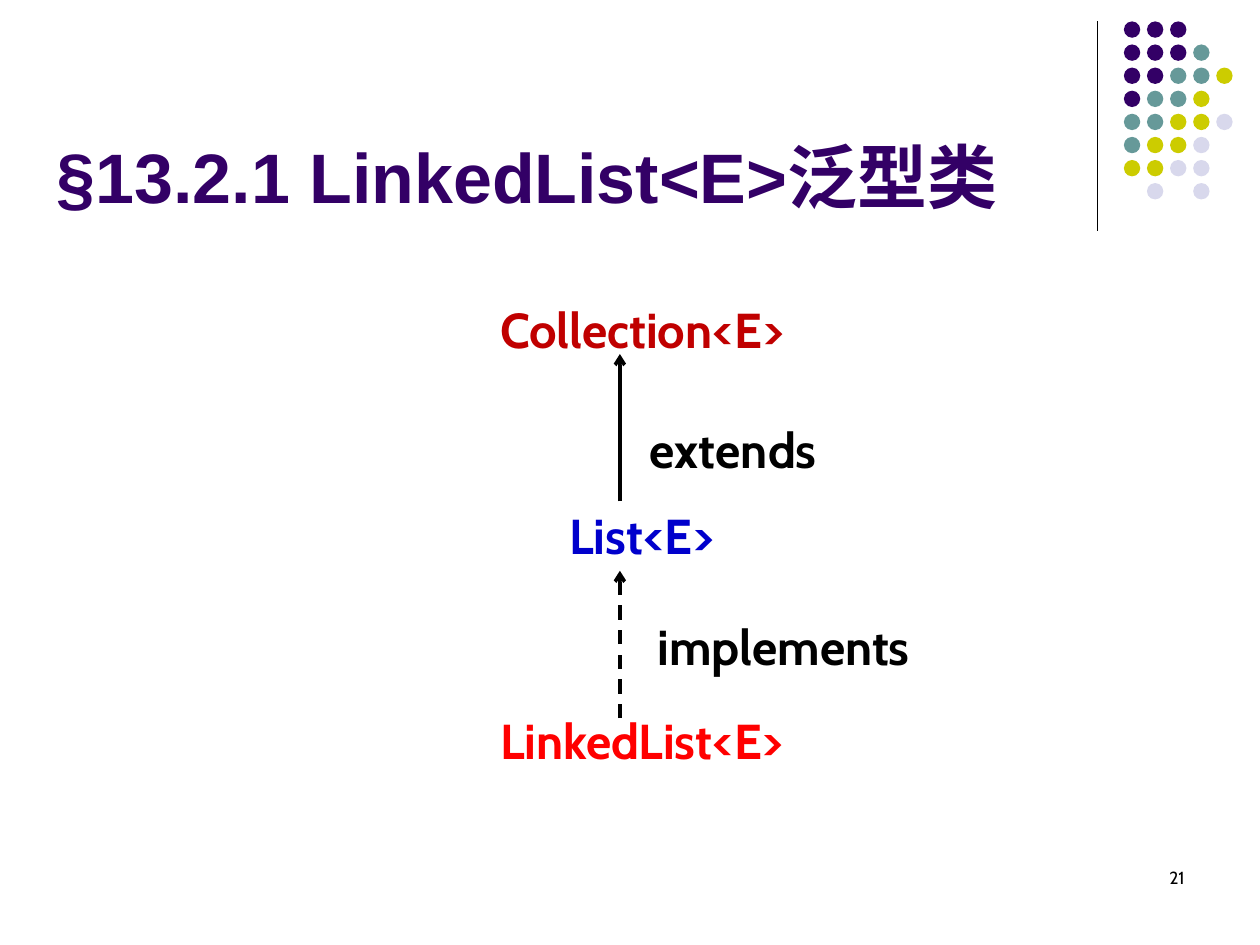
from dataclasses import dataclass
from typing import Optional

import pptx
import pptx.dml.color
import pptx.enum.dml
import pptx.enum.shapes
import pptx.enum.text
import pptx.oxml
import pptx.oxml.ns
import pptx.util

Inches = pptx.util.Inches
Pt = pptx.util.Pt
Align = pptx.enum.text.PP_ALIGN
Anchor = pptx.enum.text.MSO_ANCHOR

COLORS = {
    "purple": "330066", "teal": "669999", "yellow": "CCCC00", "pale": "D8D8EC",
    "black": "000000", "maroon": "C00000", "blue": "0000CC", "red": "FF0000",
}
DOTS = ["PPP", "PPPT", "PPTTY", "PTTY", "TTYYL", "TYYL", "YYLL", " L L"]
DOT_FILLS = {"P": "purple", "T": "teal", "Y": "yellow", "L": "pale"}
DOT_SIZE = 0.13
DOT_STEP = 0.55 / 3


@dataclass
class Line:
    x: float
    start: float
    end: float
    width: float
    dash: bool = False
    arrow: bool = False


@dataclass
class Label:
    text: str
    left: float
    top: float
    width: float
    height: float
    size: float = 28
    bold: bool = True
    align: Align = Align.CENTER


def rgb(name: str) -> pptx.dml.color.RGBColor:
    return pptx.dml.color.RGBColor.from_string(COLORS[name])


def place(shape, left: float, top: float, width: float, height: float) -> None:
    shape.left, shape.top = Inches(left), Inches(top)
    shape.width, shape.height = Inches(width), Inches(height)


def style(para, size: float, color: str, bold: bool, align: Align,
          font: str = "Cabin") -> None:
    para.alignment = align
    for run in para.runs:
        run.font.name = font
        run.font.size = Pt(size)
        run.font.bold = bold
        run.font.color.rgb = rgb(color)


def add_line(slide, item: Line) -> None:
    line = slide.shapes.add_connector(
        pptx.enum.shapes.MSO_CONNECTOR.STRAIGHT,
        Inches(item.x), Inches(item.start), Inches(item.x), Inches(item.end))
    line.line.color.rgb = rgb("black")
    line.line.width = Pt(item.width)
    if item.dash:
        line.line.dash_style = pptx.enum.dml.MSO_LINE.DASH
    if item.arrow:
        tail = pptx.oxml.parse_xml(
            f'<a:tailEnd {pptx.oxml.ns.nsdecls("a")} type="arrow"/>')
        line.line._get_or_add_ln().append(tail)
    props = line._element.spPr
    props.append(pptx.oxml.parse_xml(
        f'<a:effectLst {pptx.oxml.ns.nsdecls("a")}/>'))


def add_dot(slide, row: int, col: int, color: str) -> None:
    dot = slide.shapes.add_shape(
        pptx.enum.shapes.MSO_SHAPE.OVAL,
        Inches(8.92 + col * DOT_STEP), Inches(0.17 + row * DOT_STEP),
        Inches(DOT_SIZE), Inches(DOT_SIZE))
    dot.shadow.inherit = False
    dot.fill.solid()
    dot.fill.fore_color.rgb = rgb(color)
    dot.line.fill.background()


def add_label(slide, item: Label, color: Optional[str] = None) -> None:
    box = slide.shapes.add_textbox(
        Inches(item.left), Inches(item.top),
        Inches(item.width), Inches(item.height))
    box.text_frame.word_wrap = True
    box.text_frame.text = item.text
    style(box.text_frame.paragraphs[0], item.size, color or "black",
          item.bold, item.align)


def add_types(slide) -> None:
    box = slide.shapes.add_textbox(
        Inches(0.5), Inches(1.78), Inches(9.19), Inches(4.92))
    frame = box.text_frame
    frame.word_wrap = True
    frame.margin_top = Inches(0.6)
    frame.text = "Collection<E>\nList<E>\nLinkedList<E>"
    for para, color in zip(frame.paragraphs, ["maroon", "blue", "red"]):
        style(para, 28, color, True, Align.CENTER)
    # Equal gaps leave room for the arrows
    for para in frame.paragraphs[1:]:
        para.space_before = Pt(83.7)


def main() -> None:
    deck = pptx.Presentation()
    deck.slide_width, deck.slide_height = Inches(10), Inches(7.5)
    slide = deck.slides.add_slide(deck.slide_layouts[5])

    # Corner rule and dots
    add_line(slide, Line(8.71, 0.17, 1.83, 0.75))
    for row, marks in enumerate(DOTS):
        for col, mark in enumerate(marks):
            if mark in DOT_FILLS:
                add_dot(slide, row, col, DOT_FILLS[mark])

    # Title
    title = slide.shapes.title
    place(title, 0.35, 0.49, 8.4, 1.29)
    frame = title.text_frame
    frame.text = "§13.2.1 LinkedList<E>泛型类"
    frame.vertical_anchor = Anchor.BOTTOM
    frame.auto_size = pptx.enum.text.MSO_AUTO_SIZE.NONE
    style(frame.paragraphs[0], 40, "purple", True, Align.LEFT, "Arial")

    # Type chain with its arrows and labels
    add_types(slide)
    add_line(slide, Line(4.92, 3.98, 2.81, 2, arrow=True))
    add_line(slide, Line(4.92, 5.7, 4.53, 2, dash=True, arrow=True))
    add_label(slide, Label("extends", 4.92, 3.28, 1.8, 0.57))
    add_label(slide, Label("implements", 4.92, 4.84, 2.6, 0.57))

    # Page number
    add_label(slide, Label("21", 7.17, 6.83, 2.33, 0.5, 10, False, Align.RIGHT))

    deck.save("out.pptx")


if __name__ == "__main__":
    main()
